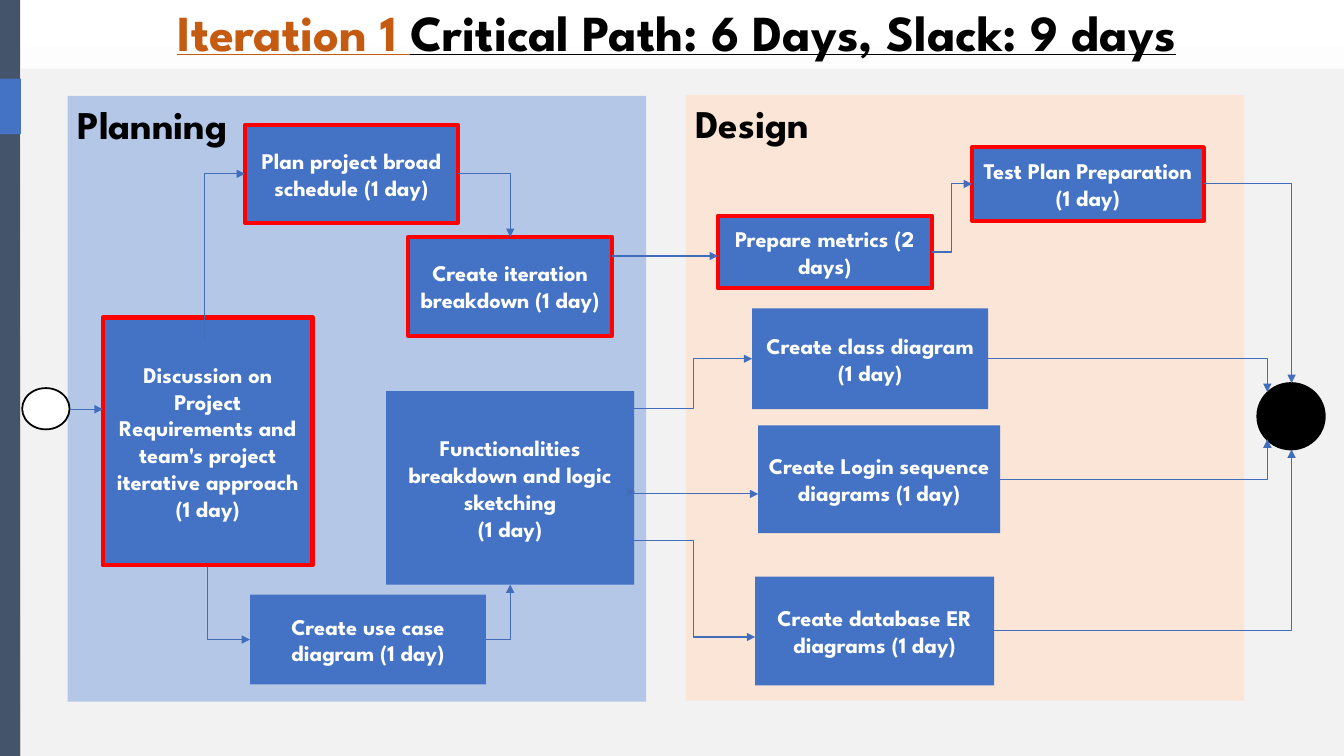
import pptx
import pptx.util
import pptx.dml.color
import pptx.enum.shapes
import pptx.enum.text
import pptx.oxml.ns
from lxml import etree

Inches = pptx.util.Inches
KIND = pptx.enum.shapes.MSO_SHAPE
LINK = pptx.enum.shapes.MSO_CONNECTOR
ALIGN = pptx.enum.text.PP_ALIGN
ANCHOR = pptx.enum.text.MSO_ANCHOR

COLORS = {
    "white": "FFFFFF", "black": "000000", "fade": "E1DFDF",
    "slate": "44546A", "blue": "4472C4", "panel": "F2F2F2",
    "peach": "FBE5D6", "sky": "B4C7E7", "red": "FF0000",
    "rust": "C55A11", "arrow": "416DBB",
}


class Board:
    font = "League Spartan"

    def __init__(self, deck):
        self.slide = deck.slides.add_slide(deck.slide_layouts[5])
        self.shapes = self.slide.shapes
        self.tasks = {}

    def color(self, name):
        return pptx.dml.color.RGBColor.from_string(COLORS[name])

    def backdrop(self, *names):
        fill = self.slide.background.fill
        fill.gradient()
        fill.gradient_angle = 270
        for stop, name in zip(fill.gradient_stops, names):
            stop.color.rgb = self.color(name)

    def run(self, para, text, size, color, under=None):
        run = para.add_run()
        run.text = text
        run.font.name = self.font
        run.font.size = pptx.util.Pt(size)
        run.font.bold = True
        run.font.underline = under
        run.font.color.rgb = self.color(color)

    def title(self, box, parts):
        head = self.shapes.title
        head.left, head.top, head.width, head.height = map(Inches, box)
        frame = head.text_frame
        frame.word_wrap = True
        frame.vertical_anchor = ANCHOR.TOP
        para = frame.paragraphs[0]
        para.alignment = ALIGN.CENTER
        for text, color in parts:
            self.run(para, text, 36, color, True)

    def shape(self, box, fill, line=None, width=1.25, kind=KIND.RECTANGLE):
        shape = self.shapes.add_shape(kind, *map(Inches, box))
        shape.shadow.inherit = False
        shape.fill.solid()
        shape.fill.fore_color.rgb = self.color(fill)
        if line:
            shape.line.color.rgb = self.color(line)
            shape.line.width = pptx.util.Pt(width)
        else:
            shape.line.fill.background()
        return shape

    def phase(self, text, box, fill):
        frame = self.shape(box, fill).text_frame
        frame.vertical_anchor = ANCHOR.TOP
        para = frame.paragraphs[0]
        para.alignment = ALIGN.LEFT
        self.run(para, text, 28, "black")

    def task(self, name, box, lines, urgent=False):
        shape = self.shape(box, "blue", "red" if urgent else None, 3)
        frame = shape.text_frame
        frame.word_wrap = True
        frame.vertical_anchor = ANCHOR.MIDDLE
        for i, text in enumerate(lines):
            para = frame.add_paragraph() if i else frame.paragraphs[0]
            para.alignment = ALIGN.CENTER
            self.run(para, text, 16, "white")
        self.tasks[name] = shape

    def point(self, spot):
        if spot[0] not in self.tasks:
            return tuple(map(Inches, spot))
        name, side = spot
        box = self.tasks[name]
        across, down = ((1, 0), (0, 1), (1, 2), (2, 1))[side]
        return (box.left + box.width * across // 2,
                box.top + box.height * down // 2)

    def arrow(self, start, end, bend):
        x1, y1 = self.point(start)
        x2, y2 = self.point(end)
        if bend == "rise":
            midx, midy = (x1 + x2) // 2, (y1 + y2) // 2
            dx, dy = (x2 - x1) // 2, (y2 - y1) // 2
            x1, y1, x2, y2 = midx - dy, midy + dx, midx + dy, midy - dx
        kind = LINK.STRAIGHT if bend == "line" else LINK.ELBOW
        link = self.shapes.add_connector(kind, x1, y1, x2, y2)
        props = link._element.spPr
        if bend in ("turn", "rise"):
            props.find(pptx.oxml.ns.qn("a:prstGeom")).set("prst", "bentConnector2")
        if bend == "rise":
            props.find(pptx.oxml.ns.qn("a:xfrm")).set("rot", "5400000")
        else:
            if start[0] in self.tasks:
                link.begin_connect(self.tasks[start[0]], start[1])
            if end[0] in self.tasks:
                link.end_connect(self.tasks[end[0]], end[1])
        link.line.color.rgb = self.color("arrow")
        link.line.width = pptx.util.Pt(0.75)
        tail = etree.SubElement(link.line._get_or_add_ln(), pptx.oxml.ns.qn("a:tailEnd"))
        tail.set("type", "triangle")
        etree.SubElement(props, pptx.oxml.ns.qn("a:effectLst"))


TASKS = [
    ("talk", (1.02, 3.15, 2.08, 2.46),
     ["Discussion on Project Requirements and team's project iterative approach", "(1 day)"], True),
    ("plan", (2.43, 1.24, 2.11, 0.97), ["Plan project broad schedule (1 day)"], True),
    ("case", (2.48, 5.9, 2.34, 0.89), ["Create use case diagram (1 day)"]),
    ("logic", (3.83, 3.88, 2.46, 1.92),
     ["Functionalities breakdown and logic sketching", "(1 day)"]),
    ("login", (7.52, 4.22, 2.4, 1.07), ["Create Login sequence diagrams (1 day)"]),
    ("metric", (7.12, 2.14, 2.12, 0.72), ["Prepare metrics (2 days)"], True),
    ("test", (9.64, 1.46, 2.3, 0.73), ["Test Plan Preparation (1 day)"], True),
    ("split", (4.05, 2.35, 2.02, 0.98), ["Create iteration breakdown (1 day)"], True),
    ("data", (7.49, 5.72, 2.37, 1.08), ["Create database ER diagrams (1 day)"]),
    ("class", (7.46, 3.06, 2.34, 1), ["Create class diagram (1 day)"]),
]

ARROWS = [
    ((2.03, 3.38), ("plan", 1), "rise"),
    (("plan", 3), ("split", 0), "turn"),
    (("metric", 3), ("test", 1), "step"),
    (("talk", 2), ("case", 1), "rise"),
    (("case", 3), ("logic", 2), "turn"),
    ((0.69, 4.06), (1.02, 4.06), "line"),
    ((6.29, 4.05), ("class", 1), "step"),
    ((6.27, 5.36), (7.49, 6.32), "step"),
    (("data", 3), (12.81, 4.46), "turn"),
    (("test", 3), (12.81, 3.8), "turn"),
    (("class", 3), (12.57, 3.89), "turn"),
    (("login", 3), (12.57, 4.36), "turn"),
    ((6.07, 2.54), (7.12, 2.54), "step"),
    ((6.29, 4.88), (6.3, 4.88), "line"),
    ((6.29, 4.9), (7.52, 4.9), "line"),
]


def main():
    deck = pptx.Presentation()
    deck.slide_width, deck.slide_height = Inches(13.33), Inches(7.5)
    board = Board(deck)
    board.backdrop("white", "fade")
    board.title((0.1, -0.04, 13.23, 1.45), [
        ("Iteration 1 ", "rust"),
        ("Critical Path: 6 Days, Slack: 9 days", "black"),
    ])
    board.shape((0, 0, 0.2, 7.5), "slate")
    board.shape((0, 0.78, 0.21, 0.55), "blue")
    board.shape((0.21, 0.68, 13.12, 6.82), "panel")
    board.phase("Design", (6.8, 0.94, 5.54, 6.01), "peach")
    board.phase("Planning", (0.67, 0.95, 5.74, 6.01), "sky")
    board.shape((12.47, 3.8, 0.67, 0.66), "black", "black", kind=KIND.OVAL)
    for task in TASKS:
        board.task(*task)
    board.shape((0.22, 3.85, 0.47, 0.41), "white", "black", kind=KIND.OVAL)
    for arrow in ARROWS:
        board.arrow(*arrow)
    deck.save("out.pptx")


if __name__ == "__main__":
    main()
